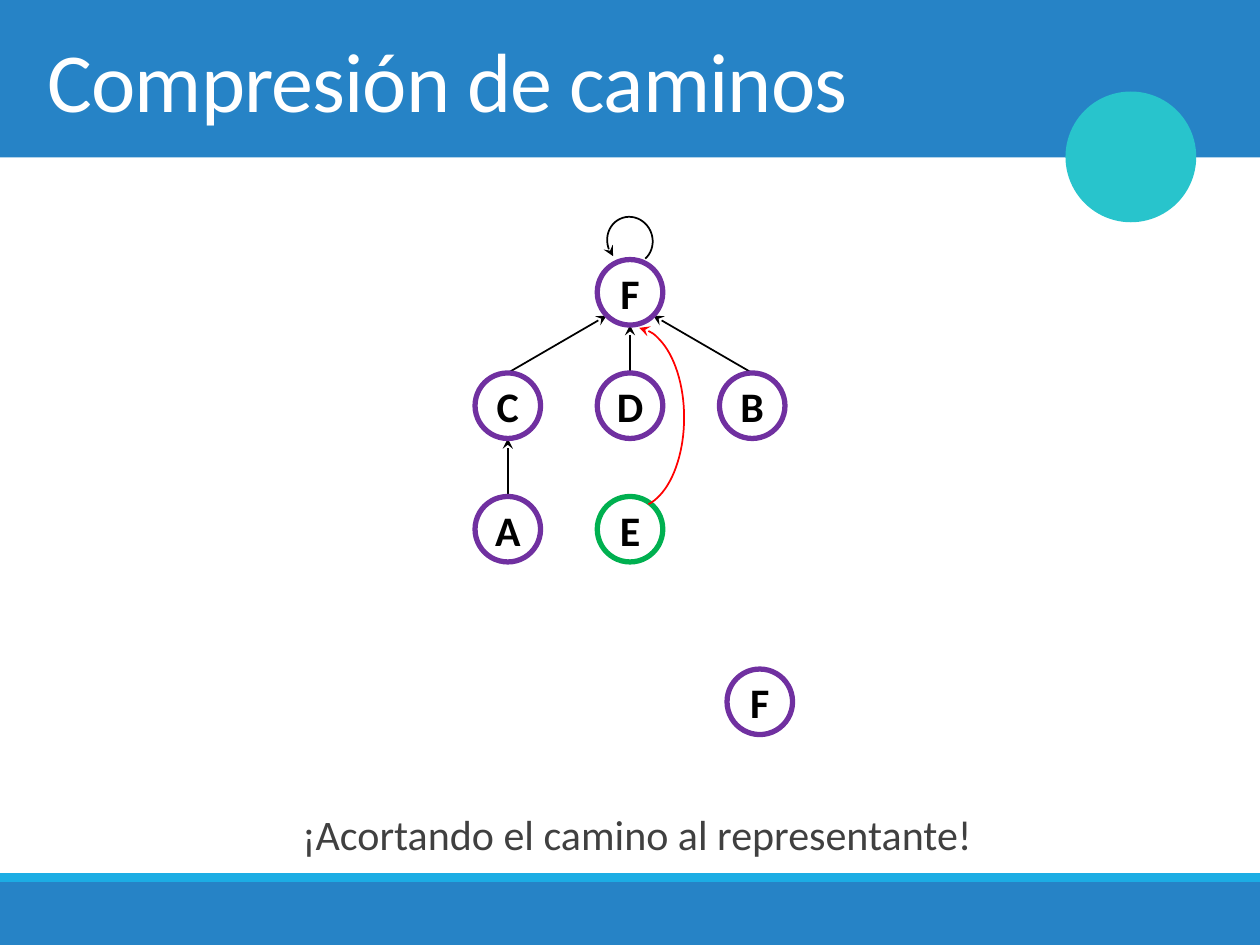
from lxml.etree import SubElement
from pptx import Presentation
from pptx.dml.color import RGBColor
from pptx.enum.shapes import MSO_CONNECTOR, MSO_SHAPE
from pptx.enum.text import MSO_ANCHOR, PP_ALIGN
from pptx.oxml.ns import qn
from pptx.util import Inches, Pt

WIDTH, HEIGHT = 10, 7.5
FONT = "Calibri"
BLUE, SKY, TEAL = "2683C6", "1CADE4", "28C4CC"
PURPLE, GREEN, RED = "7030A0", "00B050", "FF0000"
BLACK, WHITE, GRAY = "000000", "FFFFFF", "404040"

# Tree grid: centres of the columns and rows of nodes
DIAMETER = 0.52
RADIUS = DIAMETER / 2
COLUMNS = [WIDTH / 2 + step * 0.97 for step in (-1, 0, 1)]
ROWS = [2.32, 3.22, 4.2]


def color(hex_string):
    return RGBColor.from_string(hex_string)


def add_shape(slide, kind, left, top, width, height, fill=None, line=None, weight=1):
    shape = slide.shapes.add_shape(
        kind, Inches(left), Inches(top), Inches(width), Inches(height))
    shape.shadow.inherit = False
    if fill:
        shape.fill.solid()
        shape.fill.fore_color.rgb = color(fill)
    else:
        shape.fill.background()
    if line:
        shape.line.color.rgb = color(line)
        shape.line.width = Pt(weight)
    else:
        shape.line.fill.background()
    return shape


def write(paragraph, text, size, ink, bold=False):
    run = paragraph.add_run()
    run.text = text
    run.font.name = FONT
    run.font.size = Pt(size)
    run.font.bold = bold
    run.font.color.rgb = color(ink)
    return run


def add_arrowhead(shape, end):
    SubElement(shape.line._get_or_add_ln(), qn(f"a:{end}"), type="stealth")


def add_node(slide, letter, center_x, center_y, outline=PURPLE):
    node = add_shape(slide, MSO_SHAPE.OVAL, center_x - RADIUS, center_y - RADIUS,
                     DIAMETER, DIAMETER, WHITE, outline, 3)
    frame = node.text_frame
    frame.word_wrap = False
    frame.vertical_anchor = MSO_ANCHOR.MIDDLE
    paragraph = frame.paragraphs[0]
    paragraph.alignment = PP_ALIGN.CENTER
    write(paragraph, letter, 24, BLACK, bold=True)
    return node


def add_edge(slide, child, parent):
    """Arrow from the top of the child to the near edge of the parent."""
    (child_x, child_y), (parent_x, parent_y) = child, parent
    side = (child_x > parent_x) - (child_x < parent_x)
    drop = RADIUS * 0.71 if side else RADIUS
    end_x = parent_x + side * RADIUS * 0.71
    edge = slide.shapes.add_connector(
        MSO_CONNECTOR.STRAIGHT, Inches(child_x), Inches(child_y - RADIUS),
        Inches(end_x), Inches(parent_y + drop))
    edge.line.color.rgb = color(BLACK)
    edge.line.width = Pt(1)
    add_arrowhead(edge, "tailEnd")
    SubElement(edge._element.spPr, qn("a:effectLst"))
    return edge


def add_arc(slide, left, top, width, height, start, end, ink, rotation=0):
    """Arc between two angles in degrees, with its arrowhead at the start."""
    arc = add_shape(slide, MSO_SHAPE.ARC, left, top, width, height, line=ink)
    arc.adjustments[0] = start * 0.6
    arc.adjustments[1] = end * 0.6
    arc.rotation = rotation
    add_arrowhead(arc, "headEnd")


def add_text(slide, top, height, text, size, ink, anchor, alignment):
    box = slide.shapes.add_textbox(
        Inches(0.28), Inches(top), Inches(9.45), Inches(height))
    frame = box.text_frame
    frame.word_wrap = True
    frame.vertical_anchor = anchor
    paragraph = frame.paragraphs[0]
    paragraph.alignment = alignment
    return frame, write(paragraph, text, size, ink)


def add_frame(slide):
    for top, height, fill in ((0, 1.25, BLUE), (7, 0.5, BLUE), (6.93, 0.07, SKY)):
        add_shape(slide, MSO_SHAPE.RECTANGLE, 0, top, WIDTH, height, fill)
    add_shape(slide, MSO_SHAPE.OVAL, 8.47, 0.74, 1.01, 1.01, TEAL, TEAL, 2)


def add_tree(slide):
    left, middle, right = COLUMNS
    root, second, third = ROWS
    places = {"D": (middle, second), "B": (right, second), "A": (left, third),
              "C": (left, second), "F": (middle, root), "E": (middle, third)}
    parents = {"D": "F", "B": "F", "A": "C", "C": "F"}

    # Edges lie behind the nodes and are joined once the nodes exist
    edges = {child: add_edge(slide, places[child], places[parent])
             for child, parent in parents.items()}
    nodes = {letter: add_node(slide, letter, *place, GREEN if letter == "E" else PURPLE)
             for letter, place in places.items()}
    for child, edge in edges.items():
        edge.begin_connect(nodes[child], 0)

    # Loop of the representative and the shortened path from E
    add_arc(slide, 4.82, 1.72, 0.36, 0.38, 154.43, 66.82, BLACK, rotation=342.8)
    add_arc(slide, 4.65, 2.6, 0.78, 1.43, 272.7, 81.16, RED)


def main():
    presentation = Presentation()
    presentation.slide_width = Inches(WIDTH)
    presentation.slide_height = Inches(HEIGHT)
    slide = presentation.slides.add_slide(presentation.slide_layouts[6])

    # Bands and title
    add_frame(slide)
    _, title = add_text(slide, 0, 1.25, "Compresión de caminos", 48, WHITE,
                        MSO_ANCHOR.MIDDLE, PP_ALIGN.LEFT)
    title.font._element.set("spc", "-50")

    # Tree and the separate node
    add_tree(slide)
    add_node(slide, "F", 6.03, 5.57)

    # Closing sentence
    frame, _ = add_text(slide, 6.17, 0.83, "¡Acortando el camino al representante!",
                        24, GRAY, MSO_ANCHOR.TOP, PP_ALIGN.CENTER)
    frame.margin_left = Inches(0.2)
    frame.paragraphs[0].line_spacing = 1.5
    frame.paragraphs[0].space_after = Pt(2)

    presentation.save("out.pptx")


if __name__ == "__main__":
    main()
